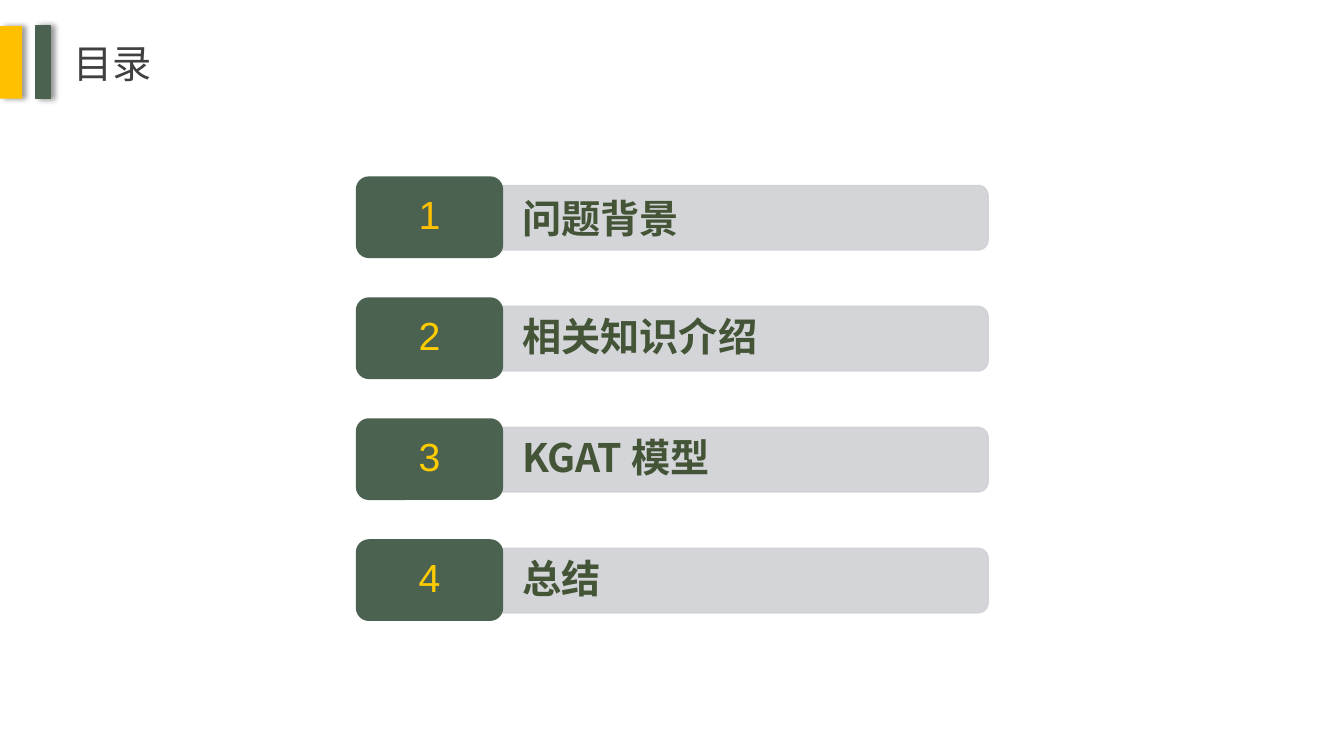
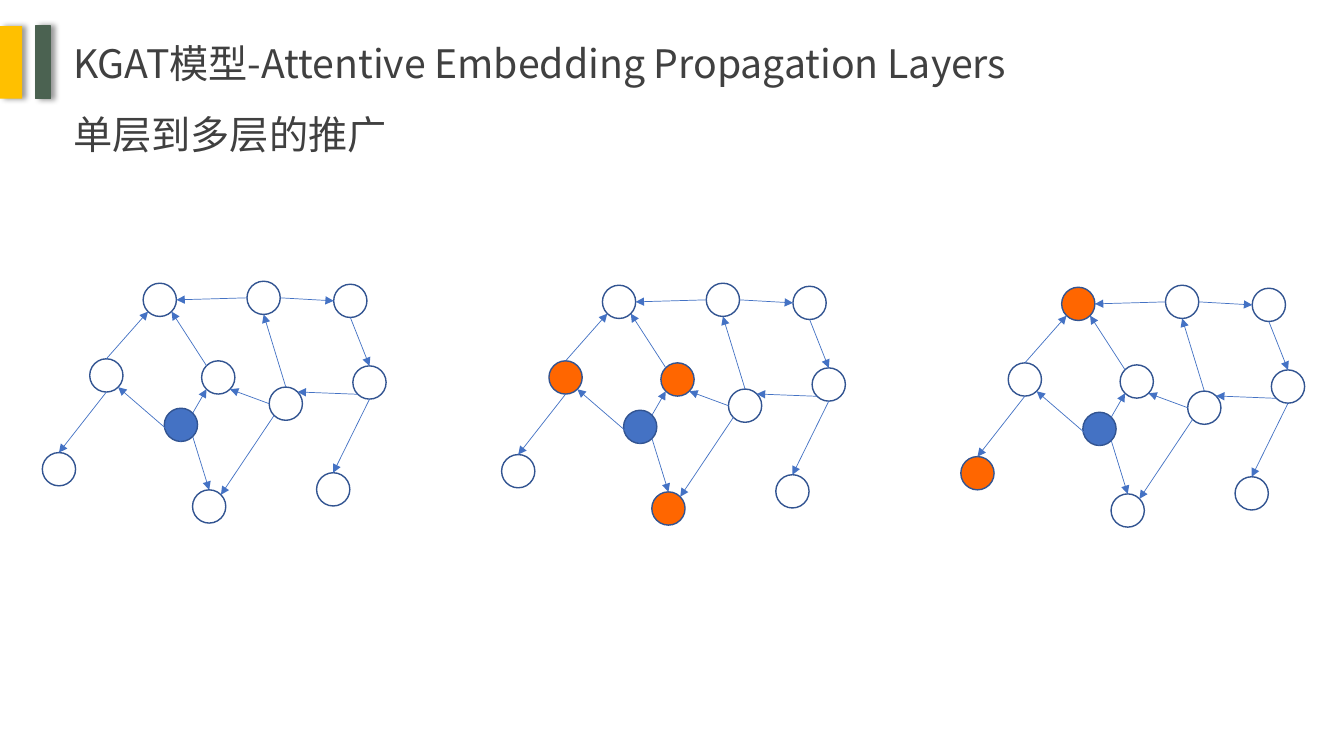
import math

from lxml import etree
from pptx import Presentation
from pptx.dml.color import RGBColor
from pptx.enum.shapes import MSO_CONNECTOR, MSO_SHAPE
from pptx.enum.text import MSO_ANCHOR, MSO_AUTO_SIZE, PP_ALIGN
from pptx.oxml.ns import qn
from pptx.util import Inches, Pt

RECT, ROUNDED, OVAL = MSO_SHAPE.RECTANGLE, MSO_SHAPE.ROUNDED_RECTANGLE, MSO_SHAPE.OVAL
STRAIGHT = MSO_CONNECTOR.STRAIGHT
MIDDLE = MSO_ANCHOR.MIDDLE
FIT_SHAPE = MSO_AUTO_SIZE.SHAPE_TO_FIT_TEXT
LEFT, CENTER = PP_ALIGN.LEFT, PP_ALIGN.CENTER

GREEN = RGBColor(0x4B, 0x62, 0x51)
DARK_GREEN = RGBColor(0x44, 0x54, 0x37)
AMBER = RGBColor(0xFF, 0xC0, 0x00)
YELLOW = RGBColor(0xFF, 0xCC, 0x00)
SILVER = RGBColor(0xCF, 0xD1, 0xD4)
GRAY = RGBColor(0x40, 0x40, 0x40)
WHITE = RGBColor(0xFF, 0xFF, 0xFF)
BLUE = RGBColor(0x44, 0x72, 0xC4)
NAVY = RGBColor(0x32, 0x54, 0x91)
ORANGE = RGBColor(0xFF, 0x66, 0x00)

CJK_FONT, LATIN_FONT = "Noto Sans CJK SC", "Arial"

# Agenda rows: label, line spacing, number colour
AGENDA = [
    ("问题背景", 1.0, AMBER),
    ("相关知识介绍", 0.9, YELLOW),
    ("KGAT 模型", 0.9, YELLOW),
    ("总结", 0.9, YELLOW),
]
ROW_PITCH = 1.2

# Graph: node corners, and edges between numbered sites on the node outlines
NODE_SIZE = 0.33
NODES = {
    "user": (1.63, 4.05), "far_left": (0.42, 4.49), "left": (0.89, 3.56),
    "top_left": (1.42, 2.81), "top": (2.45, 2.79), "center": (2, 3.58),
    "bottom": (1.91, 4.86), "hub": (2.67, 3.84), "top_right": (3.31, 2.82),
    "low_right": (3.14, 4.69), "right": (3.5, 3.63),
}
N, NW, W, SW, S, SE, E, NE = range(8)
EDGES = [
    ("center", NW, "top_left", SE), ("top", W, "top_left", E),
    ("user", SE, "bottom", N), ("user", S, "left", SE),
    ("left", S, "far_left", N), ("left", N, "top_left", SW),
    ("hub", SW, "bottom", NE), ("hub", W, "center", SE),
    ("hub", N, "top", S), ("right", SW, "hub", NE),
    ("top", E, "top_right", W), ("top_right", S, "right", N),
    ("user", NE, "center", SW), ("right", S, "low_right", N),
]
REACHED = [(), ("left", "center", "bottom"), ("far_left", "top_left")]
GRAPH_DX, GRAPH_DY = 4.555, 0.02


def write(tf, text, *, font=CJK_FONT, size=28, color=GRAY, bold=False,
          align=LEFT, spacing=1.0):
    p = tf.paragraphs[0]
    p.alignment, p.line_spacing = align, spacing
    r = p.add_run()
    r.text = text
    r.font.name, r.font.size, r.font.bold = font, Pt(size), bold
    r.font.color.rgb = color
    etree.SubElement(r.font._element, qn("a:ea"), typeface=font)


def set_insets(tf, left, top, right, bottom):
    tf.margin_left, tf.margin_top = Inches(left), Inches(top)
    tf.margin_right, tf.margin_bottom = Inches(right), Inches(bottom)
    tf.vertical_anchor, tf.word_wrap = MIDDLE, True


class Deck:
    def __init__(self):
        self.prs = Presentation()
        self.prs.slide_width, self.prs.slide_height = Inches(13.33), Inches(7.5)
        self.s = None

    def new_slide(self, title):
        self.s = self.prs.slides.add_slide(self.prs.slide_layouts[6])
        self.heading(title, 0.63, 0.34, 9.85)
        for x, w, color, line in ((0, 0.22, AMBER, None), (0.35, 0.15, GREEN, GREEN)):
            self.cast_shadow(self.shape(RECT, x, 0.26, w, 0.72, color, line))

    def heading(self, text, x, y, w):
        tf = self.s.shapes.add_textbox(
            Inches(x), Inches(y), Inches(w), Inches(0.57)).text_frame
        tf.word_wrap, tf.auto_size = False, FIT_SHAPE
        write(tf, text)

    def style(self, sp, fill, line=None, width=1):
        sp.shadow.inherit = False
        sp.fill.solid()
        sp.fill.fore_color.rgb = fill
        if line is None:
            sp.line.fill.background()
        else:
            sp.line.color.rgb, sp.line.width = line, Pt(width)
        return sp

    def shape(self, kind, x, y, w, h, fill, line=None, width=1):
        sp = self.s.shapes.add_shape(kind, Inches(x), Inches(y), Inches(w), Inches(h))
        return self.style(sp, fill, line, width)

    def cast_shadow(self, sp):
        effects = sp._element.spPr.find(qn("a:effectLst"))
        shadow = etree.SubElement(effects, qn("a:outerShdw"), blurRad=str(Pt(4)),
                                  dist=str(Pt(3)), dir="0", algn="l", rotWithShape="0")
        black = etree.SubElement(shadow, qn("a:srgbClr"), val="000000")
        etree.SubElement(black, qn("a:alpha"), val="40000")

    def label_bar(self, text, x, y, w, h, spacing):
        # Square on the left, rounded on the right
        radius, steps = 0.1, 8
        points = []
        for cy, start in ((y + radius, -90), (y + h - radius, 0)):
            for i in range(steps + 1):
                a = math.radians(start + 90 * i / steps)
                points.append((Inches(x + w - radius + radius * math.cos(a)),
                               Inches(cy + radius * math.sin(a))))
        points.append((Inches(x), Inches(y + h)))
        fb = self.s.shapes.build_freeform(Inches(x), Inches(y))
        fb.add_line_segments(points, close=True)
        sp = self.style(fb.convert_to_shape(), SILVER, SILVER)
        for color in sp._element.spPr.iter(qn("a:srgbClr")):
            etree.SubElement(color, qn("a:alpha"), val="90000")
        set_insets(sp.text_frame, 0.2, 0.13, 0.23, 0.13)
        write(sp.text_frame, text, color=DARK_GREEN, bold=True, spacing=spacing)

    def number_tab(self, number, x, y, w, h, color):
        sp = self.shape(ROUNDED, x, y, w, h, GREEN, GREEN, 1.5)
        sp.adjustments[0] = 0.15
        set_insets(sp.text_frame, 0.15, 0.09, 0.15, 0.09)
        write(sp.text_frame, str(number), font=LATIN_FONT, color=color,
              align=CENTER, spacing=0.9)

    def arrow(self, tail, tail_site, head, head_site):
        ends = []
        for node, site in ((tail, tail_site), (head, head_site)):
            a, r = math.radians(90 + 45 * site), node.width / 2
            ends += [round(node.left + r + r * math.cos(a)),
                     round(node.top + r - r * math.sin(a))]
        c = self.s.shapes.add_connector(STRAIGHT, *ends)
        c.line.color.rgb, c.line.width = BLUE, Pt(0.5)
        etree.SubElement(c.line._get_or_add_ln(), qn("a:tailEnd"), type="triangle")
        etree.SubElement(c._element.spPr, qn("a:effectLst"))
        # Attach both ends to their nodes
        links = c._element.find(".//" + qn("p:cNvCxnSpPr"))
        for tag, node, site in (("a:stCxn", tail, tail_site), ("a:endCxn", head, head_site)):
            etree.SubElement(links, qn(tag), id=str(node.shape_id), idx=str(site))

    def graph(self, dx, dy, reached):
        nodes = {}
        for name, (x, y) in NODES.items():
            fill = BLUE if name == "user" else ORANGE if name in reached else WHITE
            nodes[name] = self.shape(OVAL, x + dx, y + dy, NODE_SIZE, NODE_SIZE, fill, NAVY)
        for tail, tail_site, head, head_site in EDGES:
            self.arrow(nodes[tail], tail_site, nodes[head], head_site)


def main():
    deck = Deck()

    # Agenda
    deck.new_slide("目录")
    for i, (label, spacing, color) in enumerate(AGENDA):
        dy = i * ROW_PITCH
        deck.label_bar(label, 4.98, 1.84 + dy, 4.82, 0.64, spacing)
        deck.number_tab(i + 1, 3.54, 1.76 + dy, 1.44, 0.79, color)

    # Propagation over several layers
    deck.new_slide("KGAT模型-Attentive Embedding Propagation Layers")
    deck.heading("单层到多层的推广", 0.63, 1.05, 3.34)
    for i, reached in enumerate(REACHED):
        deck.graph(i * GRAPH_DX, i * GRAPH_DY, reached)

    deck.prs.save("out.pptx")


if __name__ == "__main__":
    main()
